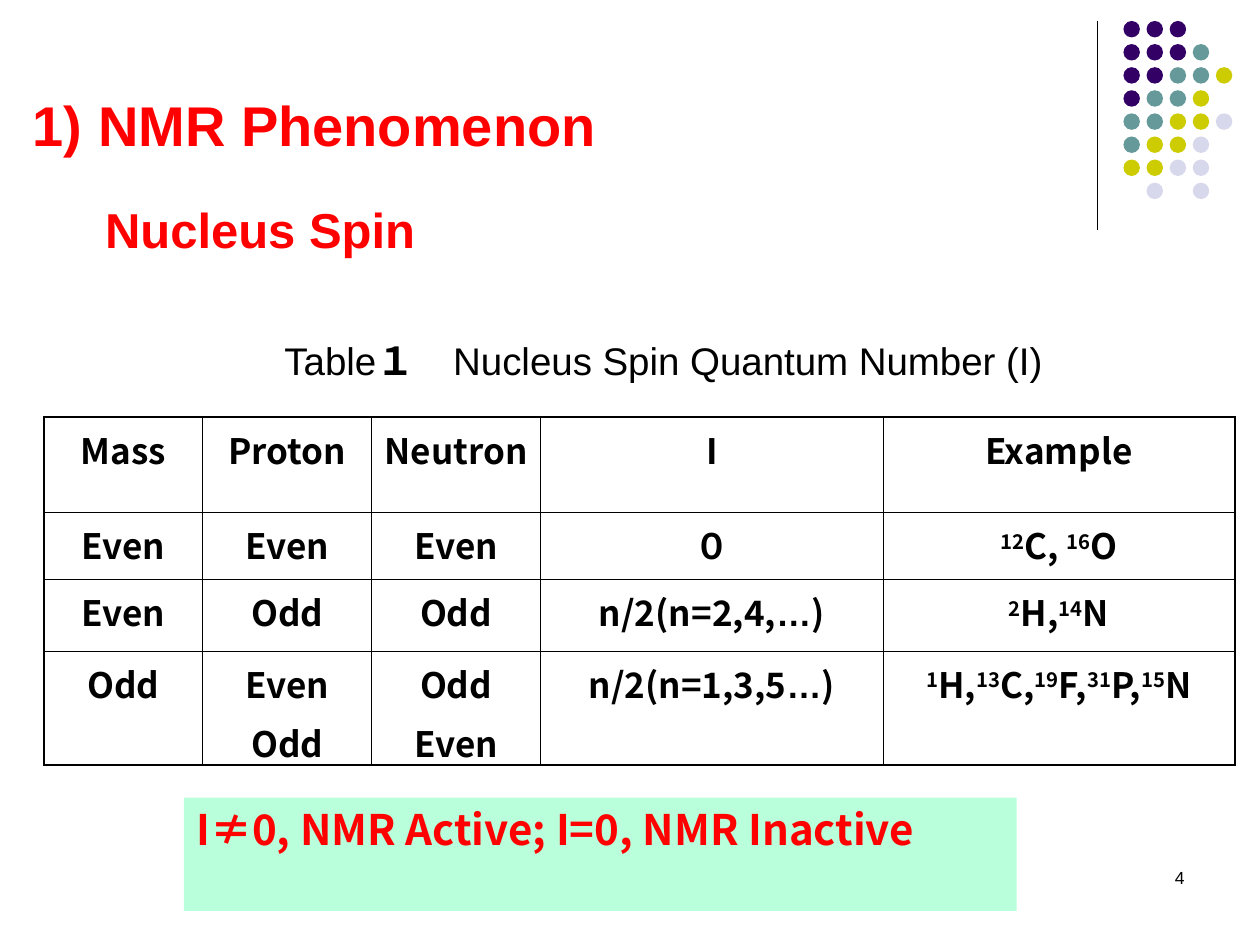
from dataclasses import dataclass

from lxml.etree import SubElement
from pptx import Presentation
from pptx.dml.color import RGBColor
from pptx.enum.shapes import MSO_CONNECTOR, MSO_SHAPE
from pptx.enum.text import MSO_ANCHOR, PP_ALIGN
from pptx.oxml.ns import qn
from pptx.util import Pt


@dataclass(frozen=True)
class Theme:
    black: str = "000000"
    red: str = "FF0000"
    mint: str = "B9FFDC"
    dots: tuple = ("330066", "669999", "CCCC00", "D8D8EC")
    sans: str = "Arial"
    cjk: str = "Noto Sans CJK SC"
    title: float = 32
    head: float = 28
    note: float = 24
    label: float = 22
    cell: float = 20
    page: float = 10
    thin: float = 0.45
    rule: float = 0.75
    thick: float = 1.08


THEME = Theme()
GRID = ("000", "0001", "00112", "0112", "11223", "1223", "2233", ".3.3")
COLS = (90.7, 96.5, 96.5, 195.8, 200.9)
ROWS = (54.7, 38.2, 41, 64.8)
CELLS = (
    ("Mass", "Proton", "Neutron", "I", "Example"),
    ("Even", "Even", "Even", "０", "^12^C, ^16^O"),
    ("Even", "Odd", "Odd", "n/2(n=2,4,^…^)", "^2^H,^14^N"),
    ("Odd", "Even\nOdd", "Odd\nEven", "n/2(n=1,3,5^…^)",
     "^1^H,^13^C,^19^F,^31^P,^15^N"),
)


def put(item, **values):
    for name, value in values.items():
        setattr(item, name, value)


def paint(fill, color):
    fill.solid()
    fill.fore_color.rgb = RGBColor.from_string(color)


def write(para, text, size, color, bold=False, face=THEME.sans):
    run = para.add_run()
    run.text = text
    put(run.font, size=Pt(size), bold=bold, name=face)
    run.font.color.rgb = RGBColor.from_string(color)
    if face == THEME.cjk:
        SubElement(run.font._element, qn("a:ea"), typeface=face)
    return run


def add_box(slide, box):
    frame = slide.shapes.add_textbox(*map(Pt, box)).text_frame
    frame.word_wrap = True
    return frame


def draw_dots(slide, box):
    left, top, step, size = box
    rule = slide.shapes.add_connector(
        MSO_CONNECTOR.STRAIGHT, Pt(left - 15), Pt(top), Pt(left - 15), Pt(top + 119.5))
    rule.line.width = Pt(THEME.rule)
    rule.line.color.rgb = RGBColor.from_string(THEME.black)
    SubElement(rule._element.spPr, qn("a:effectLst"))
    group = slide.shapes.add_group_shape()
    for row, line in enumerate(GRID):
        for col, key in enumerate(line):
            if key == ".":
                continue
            dot = group.shapes.add_shape(
                MSO_SHAPE.OVAL, Pt(left + col * step), Pt(top + row * step),
                Pt(size), Pt(size))
            paint(dot.fill, THEME.dots[int(key)])
            dot.line.fill.background()
            dot.shadow.inherit = False


def draw_title(slide, box):
    title = slide.shapes.title
    put(title, **dict(zip(("left", "top", "width", "height"), map(Pt, box))))
    frame = title.text_frame
    put(frame, vertical_anchor=MSO_ANCHOR.BOTTOM, word_wrap=True)
    para = frame.paragraphs[0]
    para.alignment = PP_ALIGN.LEFT
    write(para, "1) NMR Phenomenon", THEME.title, THEME.red, True)


def draw_heads(slide, box):
    frame = add_box(slide, box)
    head, label = frame.paragraphs[0], frame.add_paragraph()
    for para, indent in ((head, 35), (label, 137.5)):
        para.line_spacing = 0.9
        para._p.get_or_add_pPr().set("marL", str(Pt(indent)))
    label.space_before = Pt(48)
    write(head, "Nucleus Spin", THEME.head, THEME.red, True)
    for text, bold in (("Table", False), ("１　", True),
                       ("Nucleus Spin Quantum Number (I)", False)):
        write(label, text, THEME.label, THEME.black, bold)


def add_edge(cell, side, width):
    line = SubElement(cell._tc.get_or_add_tcPr(), qn(f"a:{side}"), w=str(Pt(width)))
    SubElement(SubElement(line, qn("a:solidFill")), qn("a:srgbClr"), val=THEME.black)


def fill_cell(cell, text):
    for num, line in enumerate(text.split("\n")):
        frame = cell.text_frame
        para = frame.add_paragraph() if num else frame.paragraphs[0]
        para.alignment = PP_ALIGN.CENTER
        if num:
            para.space_before = Pt(5)
        for part, bit in enumerate(line.split("^")):
            if not bit:
                continue
            face = THEME.sans if bit == "…" else THEME.cjk
            run = write(para, bit, THEME.cell, THEME.black, True, face)
            if part % 2 and bit.isdigit():
                run.font._element.set("baseline", "30000")


def draw_table(slide, box):
    table = slide.shapes.add_table(len(ROWS), len(COLS), *map(Pt, box)).table
    put(table, first_row=False, horz_banding=False)
    for col, width in zip(table.columns, COLS):
        col.width = Pt(width)
    for row, height in zip(table.rows, ROWS):
        row.height = Pt(height)
    for y, line in enumerate(CELLS):
        for x, text in enumerate(line):
            cell = table.cell(y, x)
            fill_cell(cell, text)
            edges = {"lnL": x == 0, "lnR": x == len(COLS) - 1,
                     "lnT": y == 0, "lnB": y == len(ROWS) - 1}
            for side, outer in edges.items():
                add_edge(cell, side, THEME.thick if outer else THEME.thin)
            cell.fill.background()


def draw_note(slide, box):
    note = slide.shapes.add_shape(MSO_SHAPE.RECTANGLE, *map(Pt, box))
    paint(note.fill, THEME.mint)
    note.line.fill.background()
    note.shadow.inherit = False
    frame = note.text_frame
    put(frame, vertical_anchor=MSO_ANCHOR.TOP, word_wrap=True)
    para = frame.paragraphs[0]
    para.alignment = PP_ALIGN.LEFT
    write(para, "I≠0, NMR Active; I=0, NMR Inactive", THEME.note, THEME.red,
          True, THEME.cjk)


def draw_page(slide, box):
    para = add_box(slide, box).paragraphs[0]
    para.alignment = PP_ALIGN.RIGHT
    write(para, "4", THEME.page, THEME.black)


def main():
    deck = Presentation()
    put(deck, slide_width=Pt(720), slide_height=Pt(540))
    slide = deck.slides.add_slide(deck.slide_layouts[5])
    draw_dots(slide, (642, 12, 13.2, 9.4))
    draw_page(slide, (516, 492, 168, 36))
    draw_title(slide, (11.5, 3.6, 612, 90))
    draw_heads(slide, (18, 114, 695, 136))
    draw_table(slide, (25.2, 238.3, 680.4, 198.7))
    draw_note(slide, (105.1, 455.8, 475.9, 64.8))
    deck.save("out.pptx")


if __name__ == "__main__":
    main()
